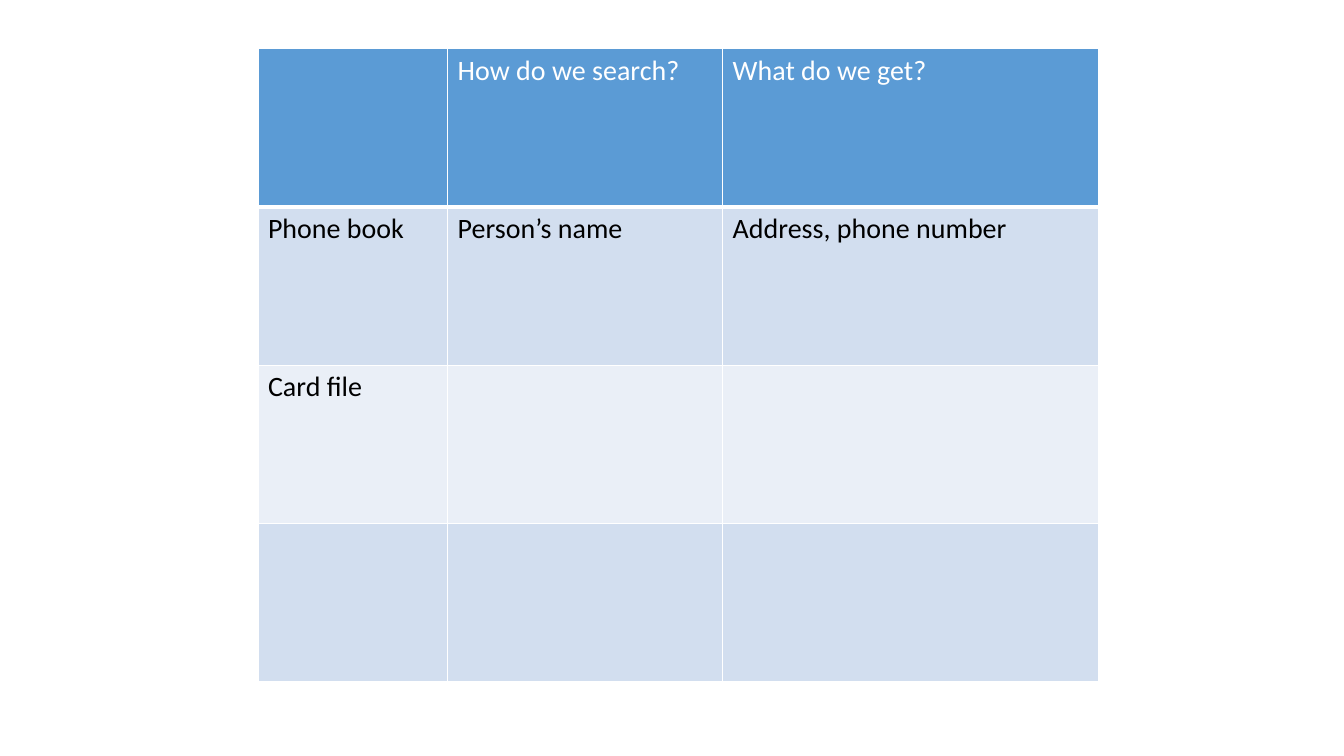
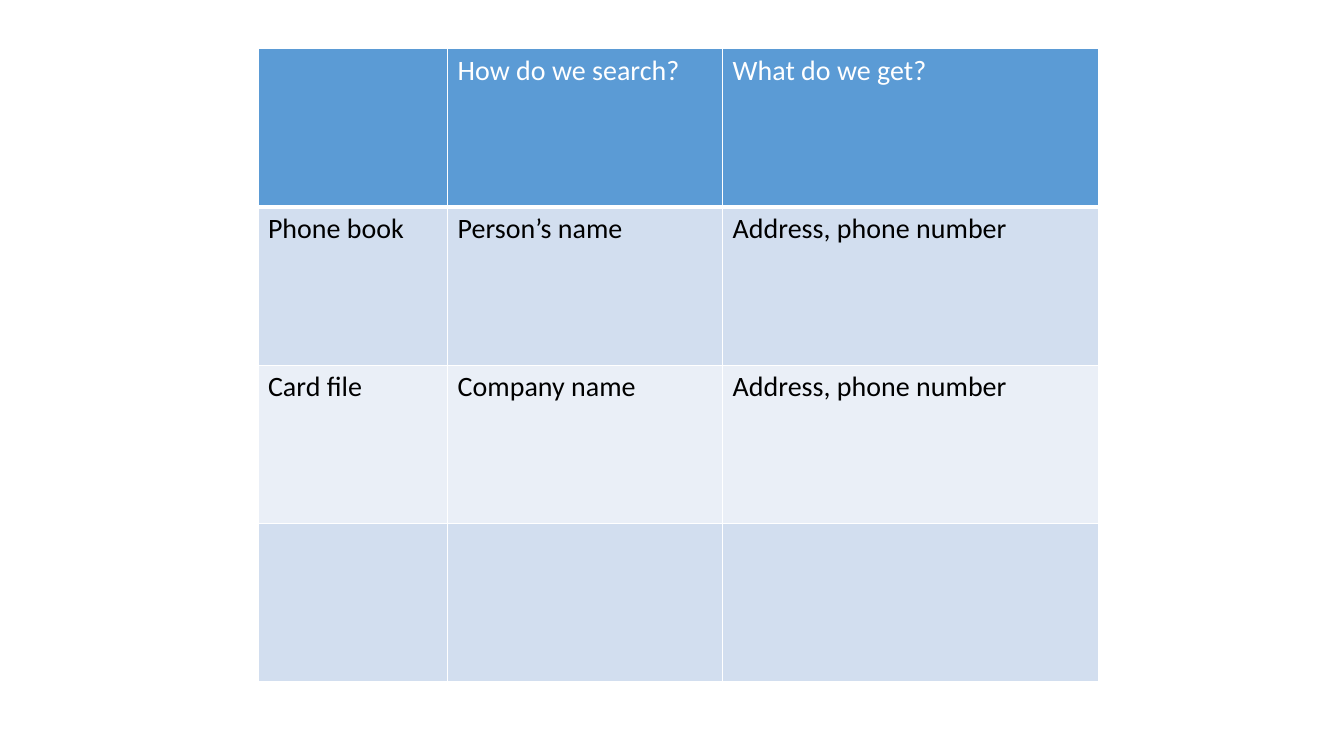
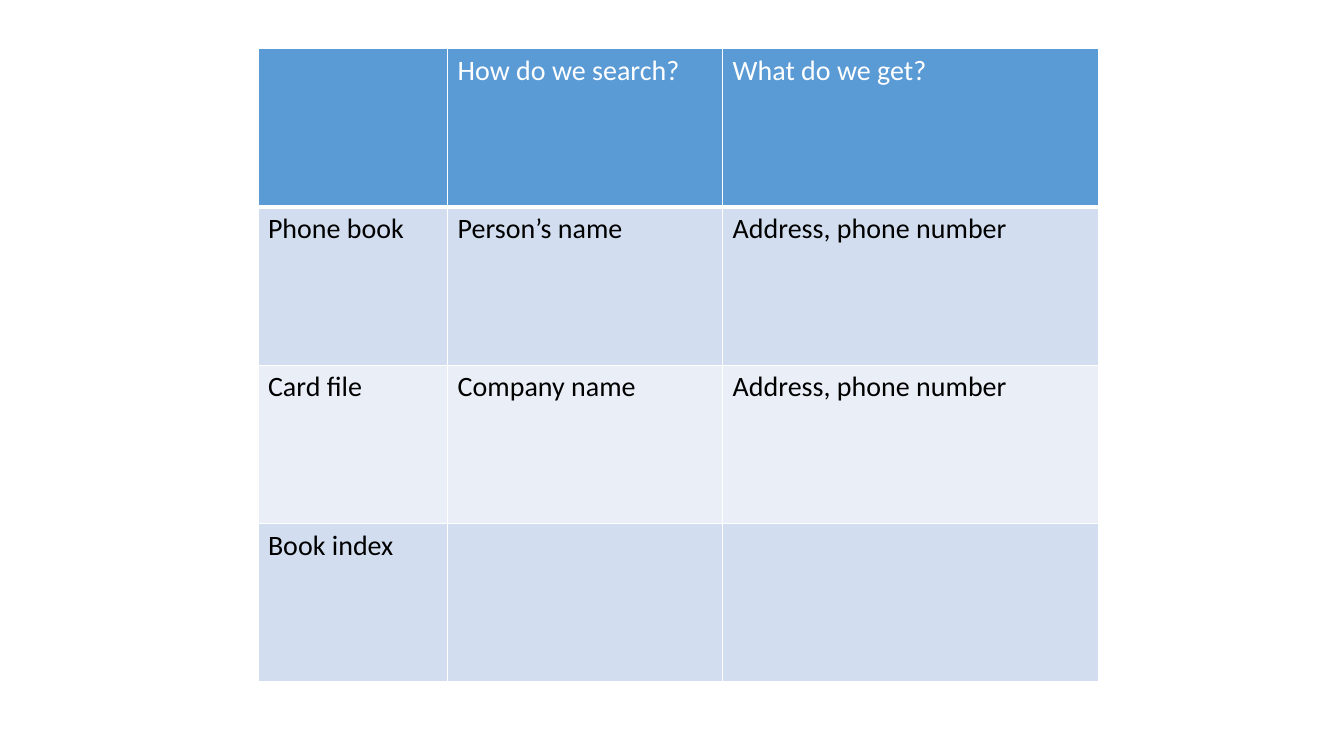
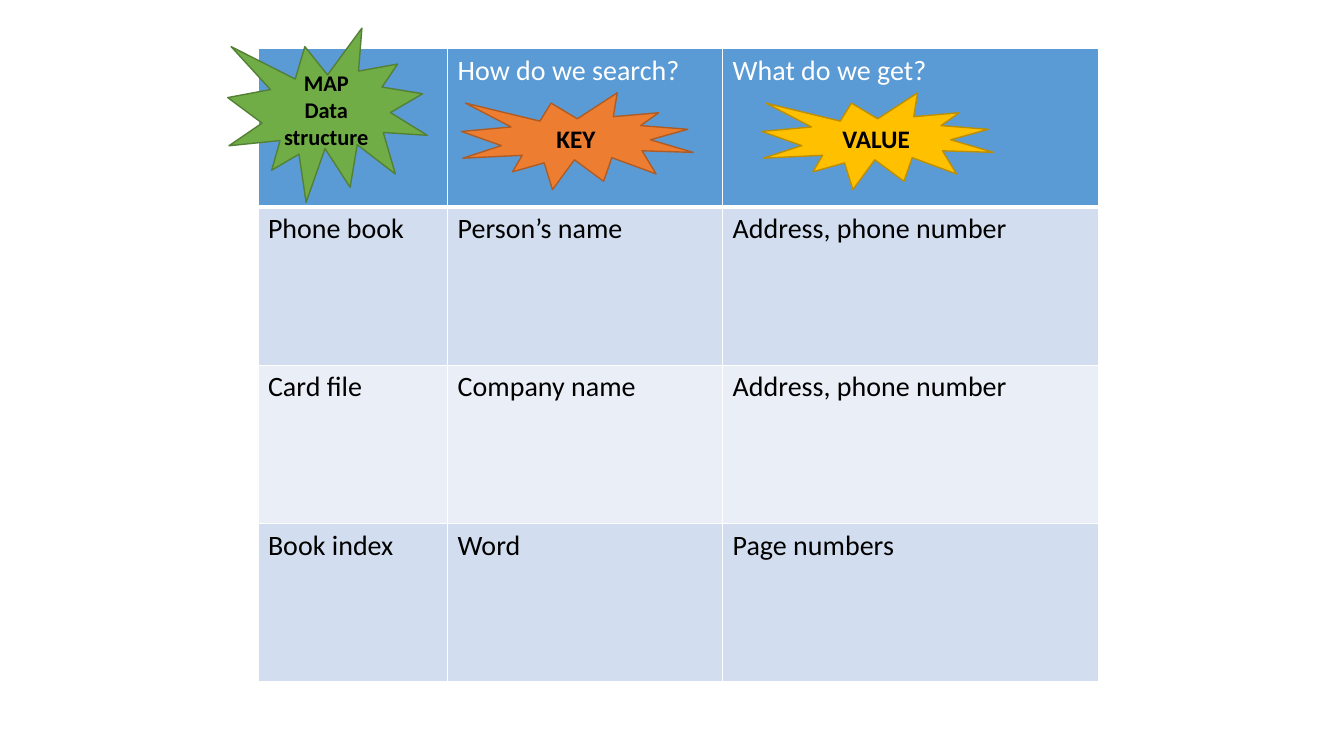
from pptx import Presentation
from pptx.dml.color import RGBColor
from pptx.enum.shapes import MSO_SHAPE
from pptx.enum.text import MSO_ANCHOR, PP_ALIGN
from pptx.oxml import parse_xml
from pptx.oxml.ns import nsdecls
from pptx.util import Cm, Pt

BURST = MSO_SHAPE.EXPLOSION1
MIDDLE = MSO_ANCHOR.MIDDLE
LEFT, CENTER = PP_ALIGN.LEFT, PP_ALIGN.CENTER

FONT = "Calibri"
WHITE = RGBColor(0xFF, 0xFF, 0xFF)
BLACK = RGBColor(0x00, 0x00, 0x00)
BLUE = RGBColor(0x5B, 0x9B, 0xD5)
BANDS = RGBColor(0xD2, 0xDE, 0xEF), RGBColor(0xEA, 0xEF, 0xF7)
ORANGE, RUST = RGBColor(0xED, 0x7D, 0x31), RGBColor(0xAF, 0x5C, 0x24)
GOLD, BRONZE = RGBColor(0xFF, 0xC0, 0x00), RGBColor(0xBD, 0x8E, 0x00)
GREEN, FOREST = RGBColor(0x70, 0xAD, 0x47), RGBColor(0x53, 0x80, 0x35)

ROWS = [
    ("", "How do we search?", "What do we get?"),
    ("Phone book", "Person’s name", "Address, phone number"),
    ("Card file", "Company name", "Address, phone number"),
    ("Book index", "Word", "Page numbers"),
]
STEPS = [7, 9, 10, 12]
BURSTS = [
    ("KEY", 18, (11.63, 2.34, 5.84, 2.44), ORANGE, RUST),
    ("VALUE", 18, (19.2, 2.34, 5.84, 2.44), GOLD, BRONZE),
    ("MAP\nData structure", 16, (5.74, 0.71, 5.03, 4.39), GREEN, FOREST),
]

GRID_X, GRID_Y = 6.5, 1.22
WIDTHS = [4.78, 6.93, 9.48]
ROW_H = 3.99


def write(frame, text, size=20, color=BLACK, bold=False, align=LEFT):
    frame.word_wrap = True
    frame.text = text
    for para in frame.paragraphs:
        para.alignment = align
        font = para.font
        font.name, font.size, font.bold = FONT, Pt(size), bold
        font.color.rgb = color
        for run in para.runs:
            run.font.name, run.font.size, run.font.bold = FONT, Pt(size), bold
            run.font.color.rgb = color


def border(cell, base):
    props = cell._tc.get_or_add_tcPr()
    for side, width in zip("LRTB", (1, 1, 1, base)):
        props.append(parse_xml(
            f'<a:ln{side} {nsdecls("a")} w="{Pt(width)}"><a:solidFill>'
            f'<a:srgbClr val="{WHITE}"/></a:solidFill></a:ln{side}>'))


def add_grid(slide, shown):
    table = slide.shapes.add_table(
        len(ROWS), len(WIDTHS), Cm(GRID_X), Cm(GRID_Y),
        Cm(sum(WIDTHS)), Cm(ROW_H * len(ROWS))).table
    for col, width in zip(table.columns, WIDTHS):
        col.width = Cm(width)
    for r, row in enumerate(ROWS):
        table.rows[r].height = Cm(ROW_H)
        for c, text in enumerate(row):
            cell = table.cell(r, c)
            border(cell, 1 if r else 3)
            cell.fill.solid()
            cell.fill.fore_color.rgb = BANDS[(r - 1) % 2] if r else BLUE
            seen = r * len(WIDTHS) + c < shown
            write(cell.text_frame, text if seen else "",
                  color=BLACK if r else WHITE)


def add_burst(slide, text, size, box, fill, line):
    shape = slide.shapes.add_shape(BURST, *map(Cm, box))
    shape.shadow.inherit = False
    shape.fill.solid()
    shape.fill.fore_color.rgb = fill
    shape.line.color.rgb = line
    shape.line.width = Pt(1)
    shape.text_frame.vertical_anchor = MIDDLE
    write(shape.text_frame, text, size=size, bold=True, align=CENTER)


def main():
    deck = Presentation()
    deck.slide_width, deck.slide_height = Cm(33.87), Cm(19.05)
    blank = deck.slide_layouts[6]
    for shown in STEPS:
        slide = deck.slides.add_slide(blank)
        add_grid(slide, shown)
    for burst in BURSTS:
        add_burst(slide, *burst)
    deck.save("out.pptx")


if __name__ == "__main__":
    main()
